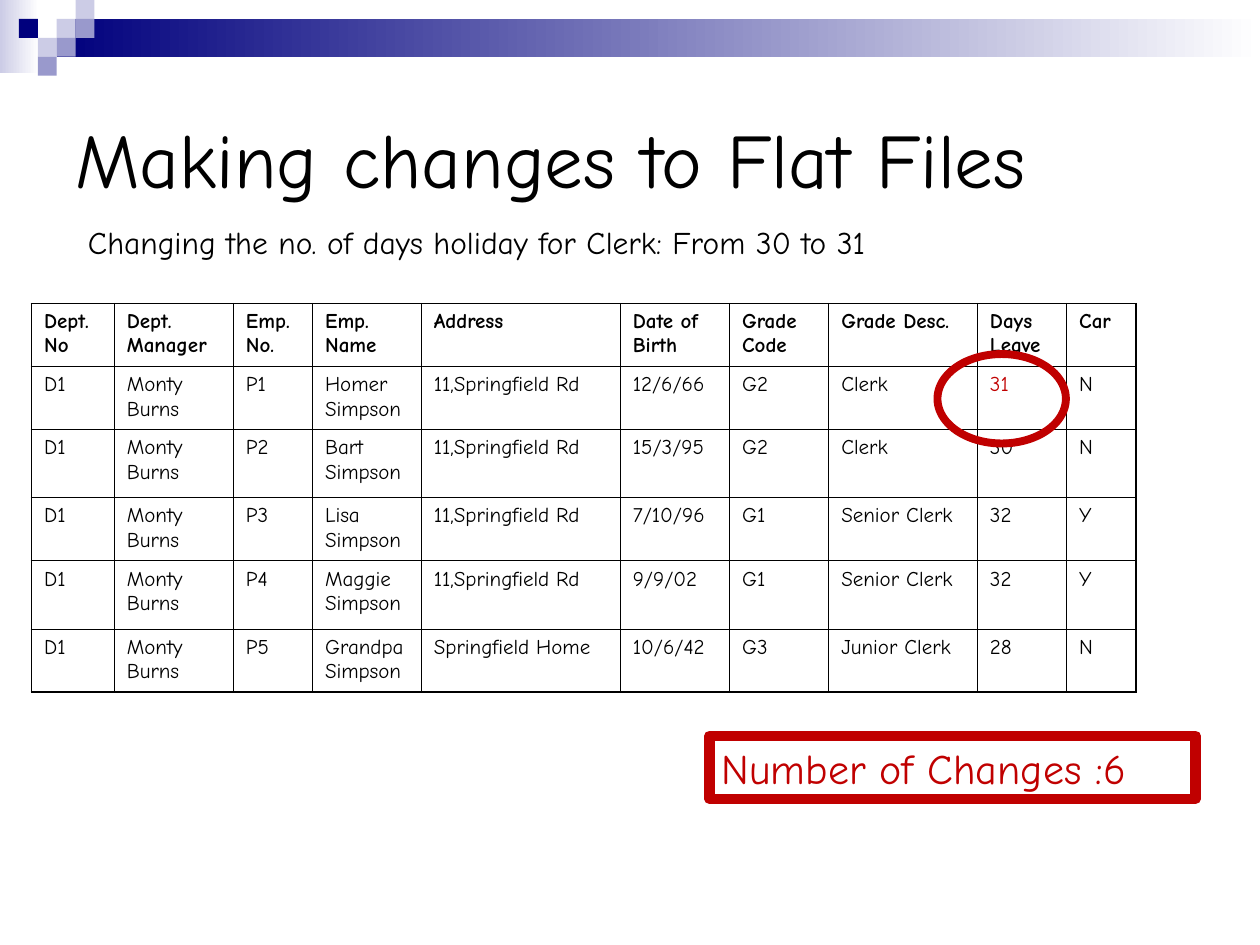
from typing import NamedTuple

from lxml import etree
from pptx import Presentation
from pptx.dml.color import RGBColor
from pptx.enum.shapes import MSO_SHAPE
from pptx.enum.text import MSO_ANCHOR, MSO_AUTO_SIZE
from pptx.oxml.ns import qn
from pptx.util import Pt

RECT, OVAL = MSO_SHAPE.RECTANGLE, MSO_SHAPE.OVAL
TOP, MIDDLE = MSO_ANCHOR.TOP, MSO_ANCHOR.MIDDLE
GROW = MSO_AUTO_SIZE.SHAPE_TO_FIT_TEXT

FONT = "Comic Neue"
BLACK = RGBColor(0x00, 0x00, 0x00)
WHITE = RGBColor(0xFF, 0xFF, 0xFF)
RED = RGBColor(0xC0, 0x00, 0x00)
NAVY = RGBColor(0x00, 0x00, 0x7D)
LILAC = RGBColor(0x99, 0x99, 0xCC)
PALE = RGBColor(0xCC, 0xCC, 0xE6)

UNIT = 10.8  # side of one square in the corner pattern
THIN, THICK = 0.45, 1.08


class Box(NamedTuple):
    left: float
    top: float
    width: float
    height: float


class Tile(NamedTuple):
    col: int
    row: int
    color: RGBColor


class Fade(NamedTuple):
    box: Box
    color: RGBColor


FADES = [
    Fade(Box(0, 0, 22.32, 41.76), PALE),
    Fade(Box(32.4, UNIT, 687.6, 21.6), NAVY),
]
TILES = [
    Tile(3, 1, PALE), Tile(4, 0, PALE), Tile(4, 1, LILAC), Tile(2, 2, PALE),
    Tile(1, 1, NAVY), Tile(3, 2, LILAC), Tile(2, 3, LILAC),
]

WIDTHS = [47.3, 68.1, 45.2, 62.2, 113.7, 62.4, 56.7, 85, 51, 39.8]
HEIGHTS = [36, 36, 38.9, 36, 38.9, 36]
HEAD = ["Dept. No", "Dept. Manager", "Emp. No.", "Emp. Name", "Address",
        "Date of Birth", "Grade Code", "Grade Desc.", "Days Leave", "Car"]
ROAD = "11,Springfield Rd"
STAFF = [
    ["P1", "Homer Simpson", ROAD, "12/6/66", "G2", "Clerk", "31", "N"],
    ["P2", "Bart Simpson", ROAD, "15/3/95", "G2", "Clerk", "30", "N"],
    ["P3", "Lisa Simpson", ROAD, "7/10/96", "G1", "Senior Clerk", "32", "Y"],
    ["P4", "Maggie Simpson", ROAD, "9/9/02", "G1", "Senior Clerk", "32", "Y"],
    ["P5", "Grandpa Simpson", "Springfield Home", "10/6/42", "G3",
     "Junior Clerk", "28", "N"],
]
ROWS = [HEAD] + [["D1", "Monty Burns", *row] for row in STAFF]
CHANGED = (1, 8)  # row and column of the edited value


def write(frame, text: str, *, size: float, color: RGBColor = BLACK,
          bold: bool = False) -> None:
    run = frame.paragraphs[0].add_run()
    run.text = text
    font = run.font
    font.name, font.size, font.bold = FONT, Pt(size), bold
    font.color.rgb = color


def add_text(slide, box: Box, text: str, *, size: float, wrap: bool = True,
             anchor=TOP) -> None:
    frame = slide.shapes.add_textbox(*map(Pt, box)).text_frame
    frame.word_wrap = wrap
    frame.vertical_anchor = anchor
    if not wrap:
        frame.auto_size = GROW
    write(frame, text, size=size)


def add_block(slide, box: Box, color: RGBColor, *, fade: bool = False) -> None:
    shape = slide.shapes.add_shape(RECT, *map(Pt, box))
    shape.shadow.inherit = False
    shape.line.fill.background()
    fill = shape.fill
    if fade:
        fill.gradient()
        fill.gradient_angle = 0
        for stop, tone in zip(fill.gradient_stops, (color, WHITE)):
            stop.color.rgb = tone
    else:
        fill.solid()
        fill.fore_color.rgb = color


def add_frame(slide, kind, box: Box, *, weight: float):
    shape = slide.shapes.add_shape(kind, *map(Pt, box))
    shape.shadow.inherit = False
    shape.fill.background()
    shape.line.color.rgb = RED
    shape.line.width = Pt(weight)
    return shape


def set_edges(cell, edges: dict[str, float]) -> None:
    props = cell._tc.get_or_add_tcPr()
    for place, (side, weight) in enumerate(edges.items()):
        line = etree.Element(qn(f"a:ln{side}"), w=str(Pt(weight)))
        fill = etree.SubElement(line, qn("a:solidFill"))
        etree.SubElement(fill, qn("a:srgbClr"), val=str(BLACK))
        props.insert(place, line)


def add_grid(slide, left: float, top: float) -> None:
    box = Box(left, top, sum(WIDTHS), sum(HEIGHTS))
    table = slide.shapes.add_table(len(ROWS), len(HEAD), *map(Pt, box)).table
    table.first_row = table.horz_banding = False
    for col, width in zip(table.columns, WIDTHS):
        col.width = Pt(width)
    for row, height in zip(table.rows, HEIGHTS):
        row.height = Pt(height)
    for r, row in enumerate(ROWS):
        for c, text in enumerate(row):
            cell = table.cell(r, c)
            cell.fill.background()
            write(cell.text_frame, text, size=12, bold=r == 0,
                  color=RED if (r, c) == CHANGED else BLACK)
            outer = {"L": c == 0, "R": c == len(HEAD) - 1,
                     "T": r == 0, "B": r == len(ROWS) - 1}
            set_edges(cell, {side: THICK if out else THIN
                             for side, out in outer.items()})


def main() -> None:
    deck = Presentation()
    deck.slide_width, deck.slide_height = Pt(720), Pt(540)
    slide = deck.slides.add_slide(deck.slide_layouts[6])

    # Banner and corner pattern
    for fade in FADES:
        add_block(slide, fade.box, fade.color, fade=True)
    for tile in TILES:
        box = Box(tile.col * UNIT, tile.row * UNIT, UNIT, UNIT)
        add_block(slide, box, tile.color)

    # Title
    add_text(slide, Box(36, 36, 648, 108), "Making changes to Flat Files",
             size=44, anchor=MIDDLE)

    # Count of changes
    count = add_frame(slide, RECT, Box(405.4, 420.5, 277.9, 36), weight=6)
    frame = count.text_frame
    frame.word_wrap = True
    frame.vertical_anchor = TOP
    frame.paragraphs[0].alignment = 1
    write(frame, "Number of Changes :6", size=24, color=RED)

    # Staff table with the change named above it and ringed
    add_grid(slide, 18, 173.5)
    add_text(slide, Box(43.2, 123.8, 460, 28.8),
             "Changing the no. of days holiday for Clerk: From 30 to 31",
             size=18, wrap=False)
    add_frame(slide, OVAL, Box(535.7, 202.3, 73.4, 51.1), weight=4.5)

    deck.save("out.pptx")


if __name__ == "__main__":
    main()
